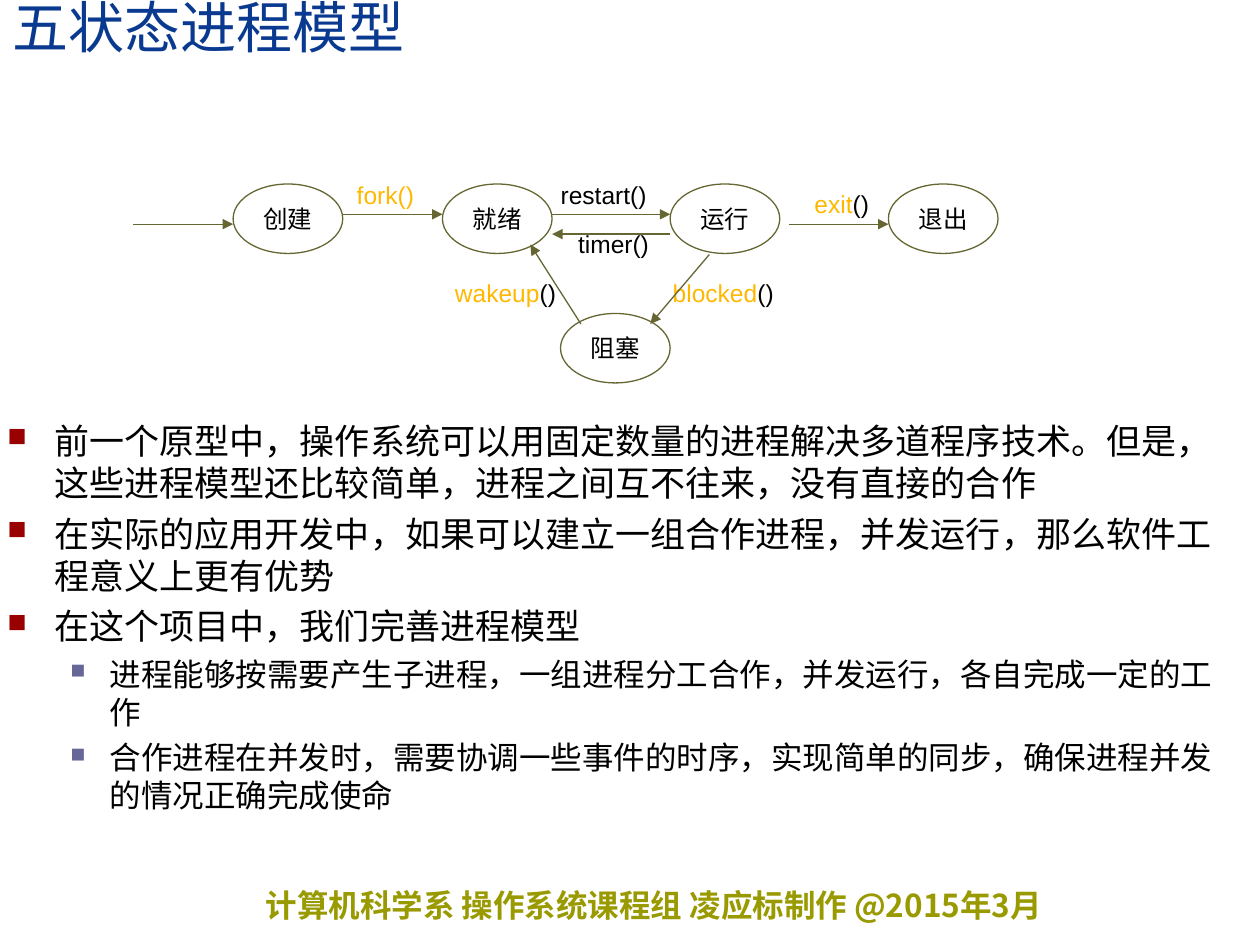
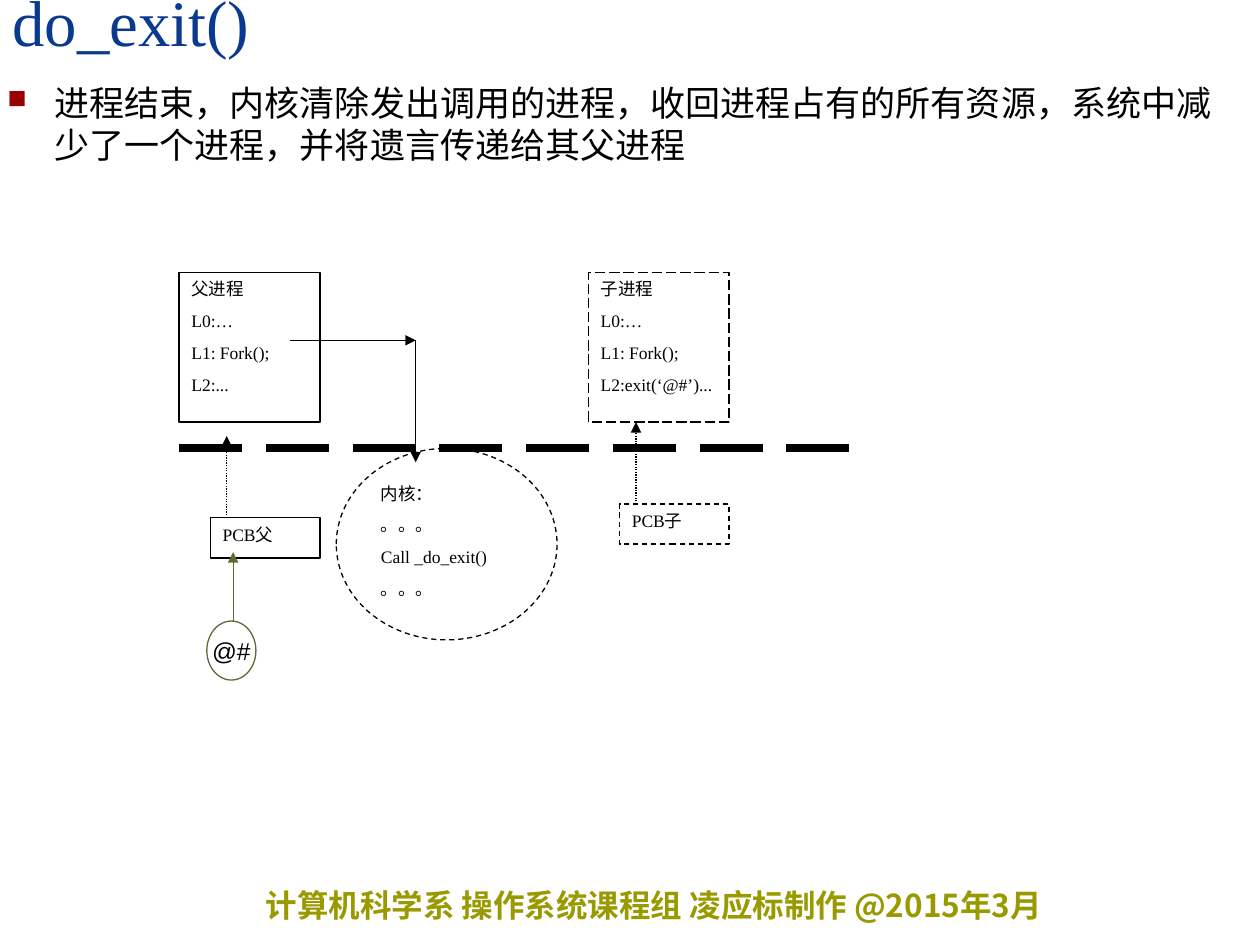
import pptx
import pptx.dml.color
import pptx.enum.dml
import pptx.enum.shapes
import pptx.enum.text
import pptx.oxml.ns
import pptx.oxml.xmlchemy
import pptx.util
from pptx.util import Cm, Pt

Align = pptx.enum.text.PP_ALIGN
Anchor = pptx.enum.text.MSO_ANCHOR
Dash = pptx.enum.dml.MSO_LINE
Preset = pptx.enum.shapes.MSO_SHAPE

BLACK, WHITE, OLIVE, AMBER = "000000", "FFFFFF", "666633", "FFB800"
NAVY, FOOTER_COLOR = "0A3A90", "999900"
SANS, SERIF, CHINESE = "Arial", "Times New Roman", "Noto Sans CJK SC"
LINE_FACTOR = 1.2

BULLETS = [
    {"color": "990000", "percent": 75, "margin": Cm(0.95), "hanging": Cm(0.95),
     "size": 20, "before": 5},
    {"color": "666699", "percent": 65, "margin": Cm(2.06), "hanging": Cm(0.79),
     "size": 18, "before": 4.5},
]

NODE_WIDTH, NODE_HEIGHT = 2.21, 1.4
STATE_TOP = 3.71
STATES = [("创建", 4.7, STATE_TOP), ("就绪", 8.92, STATE_TOP), ("阻塞", 11.3, 6.32),
          ("运行", 13.51, STATE_TOP), ("退出", 17.91, STATE_TOP)]
CALLS = [
    ([("blocked", AMBER), ("()", BLACK)], 13.31, 5.51),
    ([("wakeup", AMBER), ("()", BLACK)], 8.92, 5.51),
    ([("fork()", AMBER)], 6.5, 3.53),
    ([("exit", AMBER), ("()", BLACK)], 15.7, 3.71),
    ([("restart()", BLACK)], 10.9, 3.53),
    ([("timer()", BLACK)], 11.1, 4.52),
]
TRANSITIONS = [
    (2.69, 4.52, 4.7, 4.52),
    (6.91, 4.32, 8.92, 4.32),
    (11.13, 4.32, 13.51, 4.32),
    (13.51, 4.72, 11.13, 4.72),
    (14.3, 5.13, 13.11, 6.53),
    (11.71, 6.53, 10.69, 4.93),
    (15.9, 4.52, 17.91, 4.52),
]


def rgb(color):
    return pptx.dml.color.RGBColor.from_string(color)


def set_values(target, values):
    for name, value in values.items():
        setattr(target, name, value)


def add_child(parent, tag, **attributes):
    element = pptx.oxml.xmlchemy.OxmlElement(tag)
    for name, value in attributes.items():
        element.set(name, str(value))
    parent.append(element)
    return element


def add_run(paragraph, text, size, font, color, bold=False):
    run = paragraph.add_run()
    run.text = text
    set_values(run.font, {"size": Pt(size), "name": font, "bold": bold})
    run.font.color.rgb = rgb(color)
    add_child(run._r.get_or_add_rPr(), "a:ea", typeface=CHINESE)


def set_bullet(paragraph, level):
    bullet = BULLETS[level]
    properties = paragraph._p.get_or_add_pPr()
    properties.set("marL", str(bullet["margin"]))
    properties.set("indent", str(-bullet["hanging"]))
    color = add_child(properties, "a:buClr")
    add_child(color, "a:srgbClr", val=bullet["color"])
    add_child(properties, "a:buSzPct", val=bullet["percent"] * 1000)
    add_child(properties, "a:buChar", char="■")


def add_text_box(slide, left, top, width, height, anchor=Anchor.TOP):
    """Add a wrapping text box and return its text frame."""
    box = slide.shapes.add_textbox(Cm(left), Cm(top), Cm(width), Cm(height))
    set_values(box.text_frame, {"word_wrap": True, "vertical_anchor": anchor})
    return box.text_frame


def add_title(slide, text, size):
    frame = add_text_box(slide, 0, 0, 25.4, 1.32, Anchor.BOTTOM)
    paragraph = frame.paragraphs[0]
    paragraph.line_spacing = 0.8
    add_run(paragraph, text, size, SERIF, NAVY)


def add_footer(slide):
    frame = add_text_box(slide, 5.11, 17.73, 19, 1.02)
    add_run(frame.paragraphs[0], "计算机科学系 操作系统课程组 凌应标制作 @2015年3月",
            18, CHINESE, FOOTER_COLOR, bold=True)


def add_body(slide, top, height, items):
    """Add a bulleted list of (level, text) items."""
    frame = add_text_box(slide, -0.1, top, 25.4, height)
    for index, (level, text) in enumerate(items):
        paragraph = frame.add_paragraph() if index else frame.paragraphs[0]
        bullet = BULLETS[level]
        set_bullet(paragraph, level)
        set_values(paragraph, {
            "level": level,
            "line_spacing": Pt(bullet["size"] * LINE_FACTOR),
            "space_before": Pt(bullet["before"] if index else 0),
        })
        add_run(paragraph, text, bullet["size"], SANS, BLACK)


def add_outline(slide, preset, left, top, width, height, color, fill=None, dash=None):
    shape = slide.shapes.add_shape(preset, Cm(left), Cm(top), Cm(width), Cm(height))
    shape.shadow.inherit = False
    if fill:
        shape.fill.solid()
        shape.fill.fore_color.rgb = rgb(fill)
    else:
        shape.fill.background()
    shape.line.color.rgb = rgb(color)
    set_values(shape.line, {"width": Pt(0.75), "dash_style": dash})
    return shape


def add_label(slide, preset, left, top, width, height, runs, color):
    """Add a shape with one centred line of (text, colour) runs."""
    shape = add_outline(slide, preset, left, top, width, height, color)
    set_values(shape.text_frame, {"word_wrap": False, "vertical_anchor": Anchor.MIDDLE})
    paragraph = shape.text_frame.paragraphs[0]
    paragraph.alignment = Align.CENTER
    for text, run_color in runs:
        add_run(paragraph, text, 14, SANS, run_color)


def add_listing(slide, preset, left, top, width, height, lines, dash=None):
    """Add a white shape with small serif lines from its top."""
    shape = add_outline(slide, preset, left, top, width, height, BLACK, WHITE, dash)
    frame = shape.text_frame
    set_values(frame, {"word_wrap": True, "vertical_anchor": Anchor.TOP})
    for index, text in enumerate(lines):
        paragraph = frame.add_paragraph() if index else frame.paragraphs[0]
        set_values(paragraph, {
            "alignment": Align.JUSTIFY,
            "line_spacing": Pt(10 * LINE_FACTOR),
            "space_before": Pt(6.2 if index else 0),
        })
        add_run(paragraph, text, 10, SERIF, BLACK)


def add_line(slide, points, color, width=0.75, dash=None, arrow=True):
    connector = slide.shapes.add_connector(
        pptx.enum.shapes.MSO_CONNECTOR.STRAIGHT, *(Cm(value) for value in points))
    connector.line.color.rgb = rgb(color)
    set_values(connector.line, {"width": Pt(width), "dash_style": dash})
    properties = connector._element.spPr
    if arrow:
        add_child(properties.find(pptx.oxml.ns.qn("a:ln")), "a:tailEnd", type="triangle")
    add_child(properties, "a:effectLst")


def add_process(slide, left, lines, block_name, block_top, dash=None, block_dash=None):
    """Add a process box with its control block and the arrow between them."""
    add_listing(slide, Preset.RECTANGLE, left, 5.49, 2.84, 3.02, lines, dash)
    add_listing(slide, Preset.RECTANGLE, left + 0.63, block_top, 2.21, 0.81,
                [block_name], block_dash)
    arrow_x = left + 0.96
    add_line(slide, (arrow_x, block_top, arrow_x, block_top - 1.65), BLACK,
             dash=Dash.ROUND_DOT)


def add_slide(presentation, title, title_size):
    slide = presentation.slides.add_slide(presentation.slide_layouts[6])
    add_footer(slide)
    add_title(slide, title, title_size)
    return slide


def build_state_model(presentation):
    slide = add_slide(presentation, "五状态进程模型", 32)
    add_body(slide, 8.33, 9.04, [
        (0, "前一个原型中，操作系统可以用固定数量的进程解决多道程序技术。但是，"
            "这些进程模型还比较简单，进程之间互不往来，没有直接的合作"),
        (0, "在实际的应用开发中，如果可以建立一组合作进程，并发运行，那么软件工程意义上更有优势"),
        (0, "在这个项目中，我们完善进程模型"),
        (1, "进程能够按需要产生子进程，一组进程分工合作，并发运行，各自完成一定的工作"),
        (1, "合作进程在并发时，需要协调一些事件的时序，实现简单的同步，"
            "确保进程并发的情况正确完成使命"),
    ])
    for runs, left, top in CALLS:
        add_label(slide, Preset.RECTANGLE, left, top, 2.54, 0.79, runs, WHITE)
    for name, left, top in STATES:
        add_label(slide, Preset.OVAL, left, top, NODE_WIDTH, NODE_HEIGHT,
                  [(name, BLACK)], OLIVE)
    for points in TRANSITIONS:
        add_line(slide, points, OLIVE)


def build_exit_call(presentation):
    slide = add_slide(presentation, "do_exit()", 37)
    add_body(slide, 1.52, 15.85, [
        (0, "进程结束，内核清除发出调用的进程，收回进程占有的所有资源，"
            "系统中减少了一个进程，并将遗言传递给其父进程"),
    ])
    add_listing(slide, Preset.OVAL, 6.78, 9.04, 4.45, 3.86,
                ["内核：", "。。。", "Call _do_exit()", "。。。"], Dash.DASH)
    add_line(slide, (3.61, 9.04, 17.58, 9.04), BLACK, 4.5, Dash.LONG_DASH, arrow=False)
    shared_lines = ["L0:…", "L1: Fork();"]
    add_process(slide, 3.61, ["父进程", *shared_lines, "L2:..."], "PCB父", 10.44)
    add_process(slide, 11.86, ["子进程", *shared_lines, "L2:exit(‘@#’)..."], "PCB子", 10.16,
                Dash.LONG_DASH, Dash.DASH)
    add_line(slide, (5.84, 6.86, 8.38, 6.86), BLACK)
    add_line(slide, (8.38, 6.86, 8.38, 9.32), BLACK)
    add_label(slide, Preset.OVAL, 4.17, 12.52, 0.99, 1.19, [("@#", BLACK)], OLIVE)
    add_line(slide, (4.7, 12.52, 4.7, 11.13), OLIVE)


def main():
    presentation = pptx.Presentation()
    set_values(presentation, {"slide_width": Cm(25.4), "slide_height": Cm(19.05)})
    build_state_model(presentation)
    build_exit_call(presentation)
    presentation.save("out.pptx")


if __name__ == "__main__":
    main()
